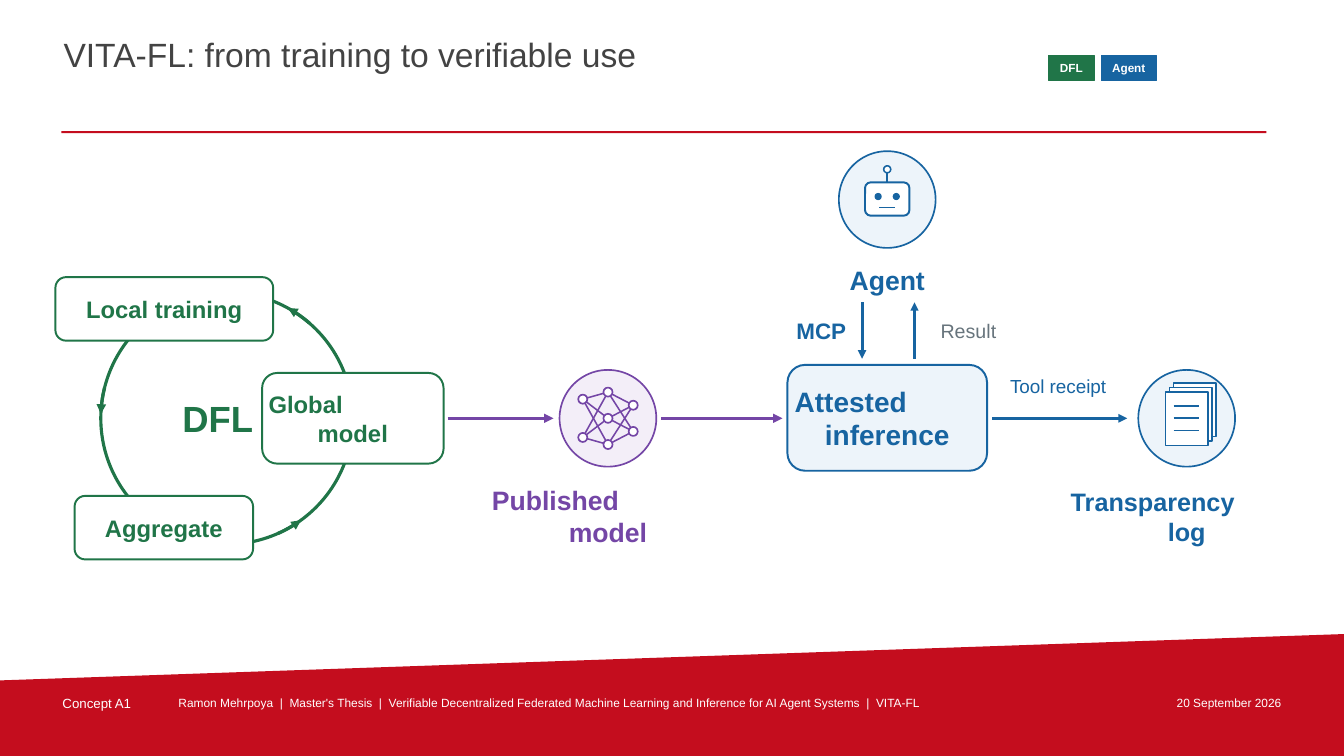
import math
from itertools import product
from lxml import etree
from pptx import Presentation
from pptx import util as u
from pptx.dml import color
from pptx.enum import shapes, text
from pptx.oxml import ns

GREEN, BLUE, PURPLE = "207548", "1764A1", "7446A6"
RED, WHITE, ICE, LILAC = "C40D1E", "FFFFFF", "EDF4FA", "F3EEF8"
KIND, SIDE, MIDST = shapes.MSO_SHAPE, text.PP_ALIGN, text.MSO_ANCHOR


def rgb(code):
    """Return the colour of a hex string."""
    return color.RGBColor.from_string(code)


def write(shape, words, size=17, hue=WHITE, bold=False,
          side=SIDE.CENTER, anchor=MIDST.MIDDLE, pad=0):
    """Fill a shape with text; the first of several lines sits at the left."""
    frame = shape.text_frame
    frame.word_wrap, frame.auto_size = True, text.MSO_AUTO_SIZE.NONE
    frame.vertical_anchor = anchor
    frame.margin_left = frame.margin_right = u.Inches(pad)
    frame.margin_top = frame.margin_bottom = u.Inches(pad)
    lines = words.split("\n")
    for i, line in enumerate(lines):
        para = frame.paragraphs[0] if i == 0 else frame.add_paragraph()
        para.alignment = SIDE.LEFT if i < len(lines) - 1 else side
        run = para.add_run()
        run.text = line
        run.font.name, run.font.size, run.font.bold = "Arial", u.Pt(size), bold
        run.font.color.rgb = rgb(hue)


def label(page, box, words, **look):
    """Add a text box."""
    write(page.shapes.add_textbox(*map(u.Inches, box)), words, **look)


def draw(page, kind, box, fill, line=None, width=1.2):
    """Add a flat preset shape."""
    shape = page.shapes.add_shape(kind, *map(u.Inches, box))
    shape.shadow.inherit = False
    shape.fill.solid()
    shape.fill.fore_color.rgb = rgb(fill)
    if line:
        shape.line.color.rgb, shape.line.width = rgb(line), u.Pt(width)
    else:
        shape.line.fill.background()
    return shape


def disc(page, x, y, size, *look):
    """Add a circle about a centre."""
    return draw(page, KIND.OVAL, (x - size / 2, y - size / 2, size, size), *look)


def link(page, start, end, hue, width=1.2, arrow=False):
    """Add a straight line, with an arrowhead on request."""
    line = page.shapes.add_connector(
        shapes.MSO_CONNECTOR.STRAIGHT, *map(u.Inches, (*start, *end)))
    line.line.color.rgb, line.line.width = rgb(hue), u.Pt(width)
    if arrow:
        etree.SubElement(line.line._get_or_add_ln(), ns.qn("a:tailEnd"), type="triangle")
    etree.SubElement(line._element.spPr, ns.qn("a:effectLst"))


def card(page, box, words, hue, fill=WHITE, size=17):
    """Add a rounded card with a bold caption."""
    shape = draw(page, KIND.ROUNDED_RECTANGLE, box, fill, hue, 1.4)
    write(shape, words, size=size, hue=hue, bold=True, pad=0.02)


def header(page, x, y, w):
    """Place the title, the two tags and the rule."""
    title = page.shapes.title
    title.left, title.top = u.Inches(x), u.Inches(y)
    title.width, title.height = u.Inches(9.65), u.Inches(0.62)
    write(title, "VITA-FL: from training to verifiable use", size=24,
          hue="434343", side=SIDE.LEFT, anchor=MIDST.TOP, pad=0.02)
    for dx, wide, name, hue in ((9.79, 0.45, "DFL", GREEN), (10.31, 0.55, "Agent", BLUE)):
        tag = draw(page, KIND.RECTANGLE, (x + dx, y + 0.23, wide, 0.25), hue, hue, 0.55)
        write(tag, name, size=8.4, bold=True)
    draw(page, KIND.RECTANGLE, (x, y + 0.98, w, 0.02), RED)


def footer(page, y, w, h):
    """Place the slanted band and its three notes."""
    pen = page.shapes.build_freeform(0, u.Inches(y + 0.46))
    pen.add_line_segments([(u.Inches(a), u.Inches(b))
                           for a, b in ((w, y), (w, y + h), (0, y + h))])
    band = pen.convert_to_shape()
    band.shadow.inherit = False
    band.fill.solid()
    band.fill.fore_color.rgb = rgb(RED)
    band.line.fill.background()
    about = ("Ramon Mehrpoya  |  Master's Thesis  |  Verifiable Decentralized Federated "
             "Machine Learning and Inference for AI Agent Systems  |  VITA-FL")
    for x, wide, words, size, side in (
            (0.6, 1, "Concept A1", 9.5, SIDE.LEFT),
            (1.75, 9.35, about, 8.5, SIDE.LEFT),
            (11.2, 1.53, "20 September 2026", 8.5, SIDE.RIGHT)):
        label(page, (x, y + 0.59, wide, 0.22), words, size=size,
              side=side, anchor=MIDST.TOP, pad=0.02)


def cycle(page, x, y, size):
    """Draw the training loop with its arrows and cards."""
    r = size / 2
    cx, cy = x + r, y + r
    disc(page, cx, cy, size, WHITE, GREEN, 2.25)
    for first in (194, 66, -49):
        turns = [math.radians(first - 1.5 * i) for i in range(9)]
        dots = [(cx + r * math.cos(t), cy + r * math.sin(t)) for t in turns]
        for i in range(8):
            link(page, dots[i], dots[i + 1], GREEN, 2.3, i == 7)
    card(page, (x - 0.45, y - 0.15, 2.16, 0.63), "Local training", GREEN)
    card(page, (x - 0.26, y + 2.02, 1.77, 0.63), "Aggregate", GREEN)
    card(page, (x + 1.6, cy - 0.45, 1.8, 0.9), "Global\nmodel", GREEN)
    label(page, (x + 0.49, cy - 0.25, 1.34, 0.5), "DFL", size=26, hue=GREEN, bold=True)


def model(page, x, y):
    """Draw the network icon about a centre, with its caption."""
    disc(page, x, y, 0.96, LILAC, PURPLE)
    layers = [[(x + dx, y + dy) for dy in rows] for dx, rows in (
        (-0.25, (-0.19, 0.19)), (0, (-0.26, 0, 0.26)), (0.25, (-0.13, 0.13)))]
    for left, right in zip(layers, layers[1:]):
        for start, end in product(left, right):
            link(page, start, end, PURPLE, 1.1)
    for node in sum(layers, []):
        disc(page, *node, 0.09, WHITE, PURPLE)
    label(page, (x - 1.15, y + 0.61, 2.3, 0.72), "Published\nmodel",
          size=19, hue=PURPLE, bold=True)


def log(page, x, y):
    """Draw the stacked sheets about a centre, with their caption."""
    disc(page, x, y, 0.96, ICE, BLUE)
    for i in range(3):
        draw(page, KIND.RECTANGLE,
             (x - 0.13 - 0.04 * i, y - 0.35 + 0.045 * i, 0.42, 0.53), WHITE, BLUE)
    for dy in (-0.12, 0, 0.12):
        link(page, (x - 0.13, y + dy), (x + 0.12, y + dy), BLUE)
    label(page, (x - 1.15, y + 0.61, 2.3, 0.72), "Transparency\nlog",
          size=18, hue=BLUE, bold=True)


def agent(page, x, y):
    """Draw the robot about a centre, with its caption and calls."""
    disc(page, x, y, 0.96, ICE, BLUE)
    draw(page, KIND.ROUNDED_RECTANGLE, (x - 0.22, y - 0.17, 0.44, 0.33), WHITE, BLUE, 1.4)
    for dx in (-0.09, 0.09):
        disc(page, x + dx, y - 0.03, 0.06, BLUE, BLUE, 0.8)
    link(page, (x - 0.08, y + 0.08), (x + 0.08, y + 0.08), BLUE)
    link(page, (x, y - 0.17), (x, y - 0.26), BLUE)
    disc(page, x, y - 0.3, 0.07, WHITE, BLUE, 1.1)
    label(page, (x - 1.15, y + 0.61, 2.3, 0.38), "Agent", size=19, hue=BLUE, bold=True)
    top, base = y + 1.02, y + 1.58
    link(page, (x - 0.25, top), (x - 0.25, base), BLUE, 2.1, True)
    link(page, (x + 0.27, base), (x + 0.27, top), BLUE, 1.5, True)
    label(page, (x - 0.98, y + 1.15, 0.65, 0.3), "MCP", size=16, hue=BLUE, bold=True)
    label(page, (x + 0.41, y + 1.15, 0.79, 0.3), "Result", size=14, hue="67747C")


def main():
    """Build and save the slide."""
    deck = Presentation()
    deck.slide_width, deck.slide_height = u.Inches(13.33), u.Inches(7.5)
    page = deck.slides.add_slide(deck.slide_layouts[5])
    footer(page, 6.29, 13.33, 1.21)
    header(page, 0.61, 0.32, 11.95)
    mid = 4.15
    cycle(page, 1, mid - 1.25, 2.5)
    model(page, 6.03, mid)
    card(page, (7.81, mid - 0.53, 1.98, 1.05), "Attested\ninference", BLUE, ICE, 20)
    log(page, 11.77, mid)
    agent(page, 8.8, 1.98)
    for start, end, hue, width in ((4.44, 5.49, PURPLE, 2.2), (6.56, 7.76, PURPLE, 2.2),
                                   (9.84, 11.18, BLUE, 2.1)):
        link(page, (start, mid), (end, mid), hue, width, True)
    label(page, (9.88, mid - 0.49, 1.23, 0.33), "Tool receipt", size=13.5, hue=BLUE)
    deck.save("out.pptx")


if __name__ == "__main__":
    main()
